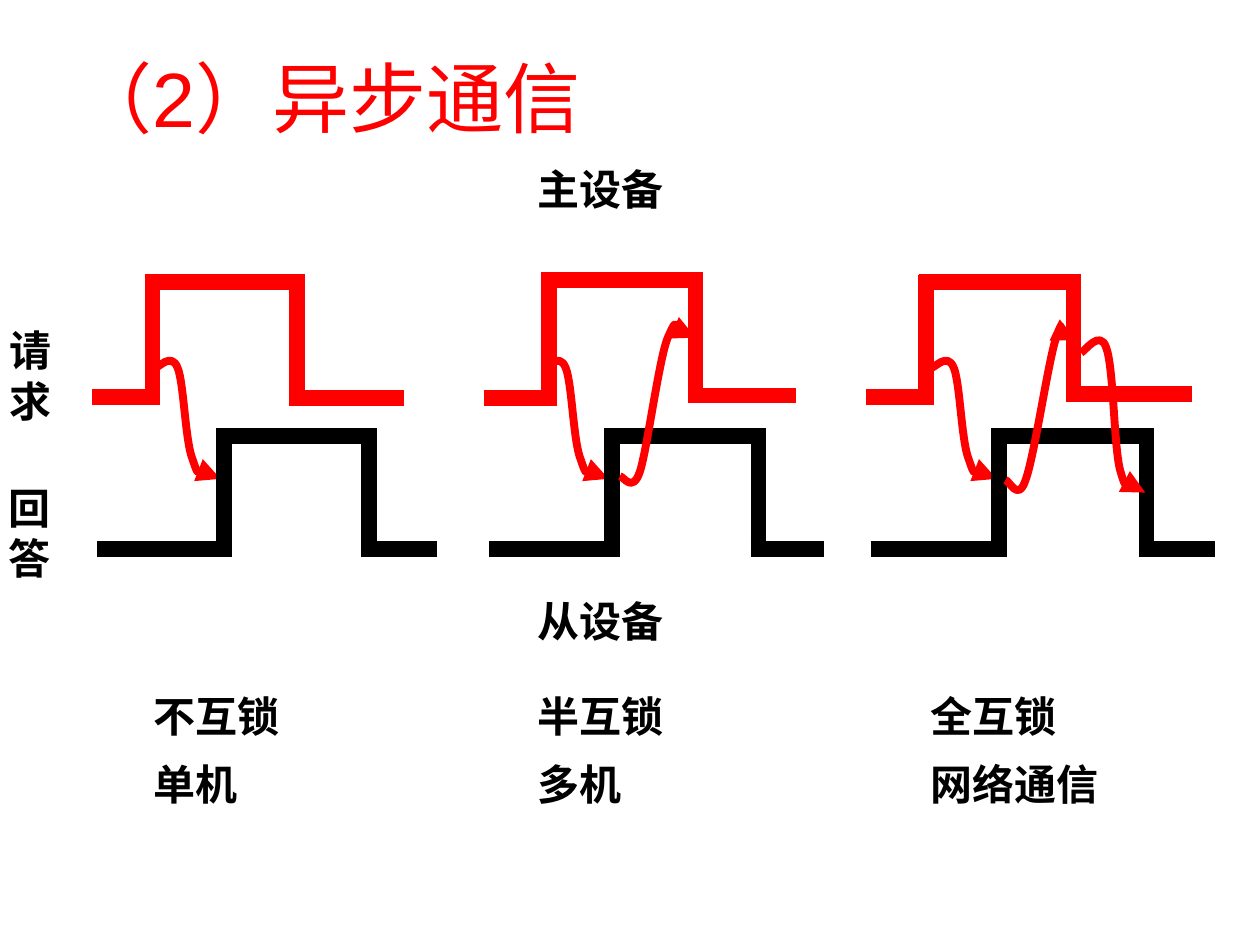
import pptx
import pptx.dml.color
import pptx.enum.shapes
import pptx.enum.text
import pptx.oxml
import pptx.oxml.ns
import pptx.util

RED = pptx.dml.color.RGBColor(0xFF, 0x00, 0x00)
BLACK = pptx.dml.color.RGBColor(0x00, 0x00, 0x00)
OVERLAP = 0.06  # half a thick line, so that wave corners close

presentation = pptx.Presentation()
presentation.slide_width = pptx.util.Inches(10)
presentation.slide_height = pptx.util.Inches(7.5)
slide = presentation.slides.add_slide(presentation.slide_layouts[6])
COLUMN = presentation.slide_width / 10
ROW = presentation.slide_height / 7.5


def add_label(text, left, top, width, height, size=24, font="Times New Roman",
              color=BLACK, bold=True, wrap=True):
    box = slide.shapes.add_textbox(int(left * COLUMN), int(top * ROW),
                                   int(width * COLUMN), int(height * ROW))
    frame = box.text_frame
    frame.text = text
    frame.word_wrap = wrap
    for paragraph in frame.paragraphs:
        for run in paragraph.runs:
            run.font.size = pptx.util.Pt(size)
            run.font.name = font
            run.font.bold = bold
            run.font.color.rgb = color
    return frame


def add_curved_arrow(points, shift):
    """Draw a Bezier arrow: a start point, then three points for each curve."""
    points = [((x + shift) * COLUMN, y * ROW) for x, y in points]
    builder = slide.shapes.build_freeform(*points[0])
    builder.add_line_segments(points[1:], close=False)
    shape = builder.convert_to_shape()
    shape.shadow.inherit = False
    shape.fill.background()
    shape.line.color.rgb = RED
    shape.line.width = pptx.util.Pt(4.5)
    shape.line._get_or_add_ln().append(pptx.oxml.parse_xml(
        f'<a:tailEnd {pptx.oxml.ns.nsdecls("a")} type="triangle"/>'))
    segments = shape._element.xpath(".//a:lnTo")
    for first in range(0, len(segments), 3):
        curve = pptx.oxml.parse_xml(f'<a:cubicBezTo {pptx.oxml.ns.nsdecls("a")}/>')
        segments[first].addprevious(curve)
        for segment in segments[first:first + 3]:
            curve.append(segment[0])
            segment.getparent().remove(segment)


title = add_label("（2）异步通信", 0.5, 0.3, 9, 0.93, size=44, font="Arial",
                  color=RED, bold=False)
title.vertical_anchor = pptx.enum.text.MSO_ANCHOR.MIDDLE

add_label("主设备", 4.17, 1.25, 2.53, 0.5)
add_label("从设备", 4.17, 4.68, 2.95, 0.5)
add_label("请\n求", -0.02, 2.53, 0.54, 0.9, wrap=False)
add_label("回\n答", -0.03, 3.78, 0.54, 0.9, wrap=False)

for left, interlock, usage in [(1.12, "不互锁", "单机"),
                               (4.17, "半互锁", "多机"),
                               (7.29, "全互锁", "网络通信")]:
    add_label(interlock, left, 5.43, 1.67, 0.5)
    add_label(usage, left, 5.97, 1.67, 0.5)

# Arrow from the rising request to the rising answer, repeated in each panel
PANEL_PITCH = 3.08
request_arrow = [(1.23, 2.92), (1.26, 2.92), (1.36, 2.79), (1.41, 2.92),
                 (1.46, 3.04), (1.47, 3.51), (1.53, 3.65),
                 (1.58, 3.8), (1.7, 3.77), (1.75, 3.8)]

# Each wave: start, rise, fall, end, top, base before, base after
request_waves = [(0.73, 1.21, 2.36, 3.21, 2.24, 3.15, 3.16),
                 (3.84, 4.36, 5.52, 6.32, 2.22, 3.16, 3.14),
                 (6.87, 7.35, 8.52, 9.46, 2.24, 3.15, 3.13)]
answer_waves = [(0.77, 1.78, 2.93, 3.47, 3.46, 4.36, 4.36),
                (3.88, 4.86, 6.02, 6.54, 3.46, 4.36, 4.36),
                (6.91, 7.93, 9.1, 9.64, 3.46, 4.36, 4.36)]

for color, waves in [(RED, request_waves), (BLACK, answer_waves)]:
    for panel, (start, rise, fall, end, top, before, after) in enumerate(waves):
        for x1, y1, x2, y2 in [
                (start, before, rise + OVERLAP, before),
                (rise, before + OVERLAP, rise, top - OVERLAP),
                (rise - OVERLAP, top, fall + OVERLAP, top),
                (fall, top - OVERLAP, fall, after + OVERLAP),
                (fall - OVERLAP, after, end, after)]:
            line = slide.shapes.add_connector(
                pptx.enum.shapes.MSO_CONNECTOR.STRAIGHT,
                int(x1 * COLUMN), int(y1 * ROW), int(x2 * COLUMN), int(y2 * ROW))
            line.line.color.rgb = color
            line.line.width = pptx.util.Pt(9)
            line._element.spPr.append(pptx.oxml.parse_xml(
                f'<a:effectLst {pptx.oxml.ns.nsdecls("a")}/>'))
        if color == RED:
            add_curved_arrow(request_arrow, panel * PANEL_PITCH)

# Arrows from the answer back to the falling request, then on to the falling answer
half_reply = [(4.92, 3.78), (4.95, 3.78), (5.02, 3.92), (5.08, 3.74),
              (5.14, 3.55), (5.23, 2.85), (5.3, 2.68),
              (5.38, 2.5), (5.49, 2.68), (5.52, 2.68)]
full_reply = [(7.98, 3.81), (8.01, 3.81), (8.08, 3.99), (8.14, 3.81),
              (8.21, 3.62), (8.32, 2.87), (8.38, 2.69),
              (8.45, 2.5), (8.51, 2.7), (8.54, 2.7)]
full_release = [(8.58, 2.8), (8.61, 2.79), (8.73, 2.61), (8.78, 2.76),
                (8.84, 2.92), (8.84, 3.54), (8.89, 3.73),
                (8.94, 3.91), (9.06, 3.84), (9.09, 3.87),
                (9.12, 3.91), (9.09, 3.9), (9.09, 3.91)]
for arrow in (half_reply, full_reply, full_release):
    add_curved_arrow(arrow, 0)

presentation.save("out.pptx")
